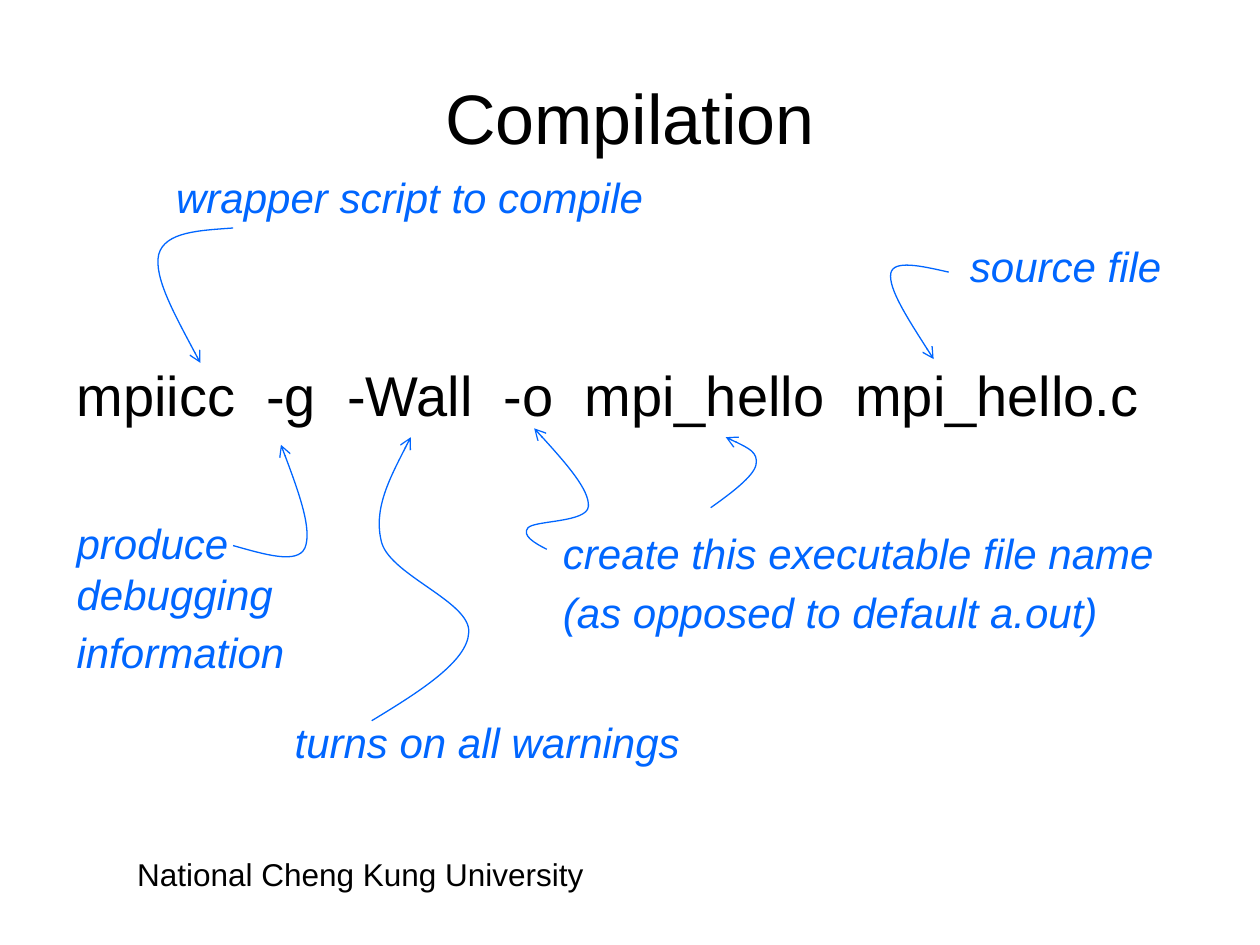
from lxml import etree
from pptx import Presentation
from pptx import util as u
from pptx.dml.color import RGBColor
from pptx.enum import text
from pptx.oxml import ns

BLACK = RGBColor(0x00, 0x00, 0x00)
BLUE = RGBColor(0x00, 0x66, 0xFF)

deck = Presentation()
deck.slide_width, deck.slide_height = u.Inches(10), u.Inches(7.5)
slide = deck.slides.add_slide(deck.slide_layouts[6])


def add_text(words, box, size, color=BLACK, wrap=True, slant=False):
    frame = slide.shapes.add_textbox(*map(u.Inches, box)).text_frame
    frame.word_wrap = wrap
    frame.text = words
    for i, para in enumerate(frame.paragraphs):
        if i:
            para.space_before = u.Pt(size * 0.2)
        for run in para.runs:
            font = run.font
            font.name, font.size, font.italic = "Arial", u.Pt(size), slant
            font.color.rgb = color
    return frame


def add_curve(points):
    """Draw a Bezier arrow: a start point, then three points per segment."""
    start, *rest = [(u.Inches(x), u.Inches(y)) for x, y in points]
    pen = slide.shapes.build_freeform(*start)
    pen.add_line_segments(rest, close=False)
    shape = pen.convert_to_shape()
    shape.shadow.inherit = False
    shape.fill.background()
    shape.line.color.rgb = BLUE
    shape.line.width = u.Pt(0.75)
    # Turn every three straight steps into one cubic segment
    steps = list(shape.element.iter(ns.qn("a:lnTo")))
    for i in range(0, len(steps), 3):
        track = steps[i].getparent()
        cubic = etree.SubElement(track, ns.qn("a:cubicBezTo"))
        for step in steps[i:i + 3]:
            cubic.append(step[0])
            track.remove(step)
    line = shape.line._get_or_add_ln()
    etree.SubElement(line, ns.qn("a:tailEnd"), type="arrow")


# Footer, title and command
add_text("National Cheng Kung University", (0.99, 6.74, 5.35, 0.4), 18)
title = add_text("Compilation", (0.5, 0.3, 9, 1.25), 40)
title.vertical_anchor = text.MSO_ANCHOR.MIDDLE
title.paragraphs[0].alignment = text.PP_ALIGN.CENTER
add_text("mpiicc  -g  -Wall  -o  mpi_hello  mpi_hello.c",
         (0.51, 2.81, 8.98, 0.64), 32)

# Notes on each part of the command
notes = [
    ("wrapper script to compile", (1.3, 1.31, 4.04, 0.5)),
    ("turns on all warnings", (2.24, 5.64, 3.29, 0.5)),
    ("source file", (7.6, 1.86, 1.74, 0.5)),
    ("create this executable file name\n(as opposed to default a.out)",
     (4.37, 4.14, 4.94, 0.99)),
    ("produce\vdebugging\ninformation", (0.51, 4.06, 1.87, 1.39)),
]
for words, box in notes:
    add_text(words, box, 24, BLUE, wrap=False, slant=True)

# Curved arrows from notes to command
curves = [
    # wrapper script
    [(1.85, 1.81), (1.58, 1.83), (1.31, 1.84), (1.26, 2.02),
     (1.22, 2.2), (1.41, 2.54), (1.59, 2.88)],
    # source file
    [(7.53, 2.16), (7.31, 2.11), (7.09, 2.06), (7.07, 2.17),
     (7.05, 2.29), (7.23, 2.57), (7.41, 2.85)],
    # debugging
    [(1.85, 4.33), (2.1, 4.4), (2.36, 4.48), (2.42, 4.35),
     (2.48, 4.21), (2.36, 3.87), (2.23, 3.53)],
    # warnings
    [(2.95, 5.72), (3.33, 5.49), (3.71, 5.25), (3.72, 5.02),
     (3.74, 4.78), (3.11, 4.57), (3.03, 4.31),
     (2.96, 4.05), (3.11, 3.76), (3.26, 3.47)],
    # executable name
    [(5.64, 4.03), (5.81, 3.91), (5.98, 3.78), (6, 3.69),
     (6.02, 3.59), (5.89, 3.53), (5.76, 3.47)],
    # output flag
    [(4.34, 4.36), (4.24, 4.31), (4.14, 4.25), (4.19, 4.19),
     (4.24, 4.13), (4.66, 4.15), (4.67, 4.02),
     (4.68, 3.89), (4.46, 3.64), (4.24, 3.4)],
]
for points in curves:
    add_curve(points)

deck.save("out.pptx")
